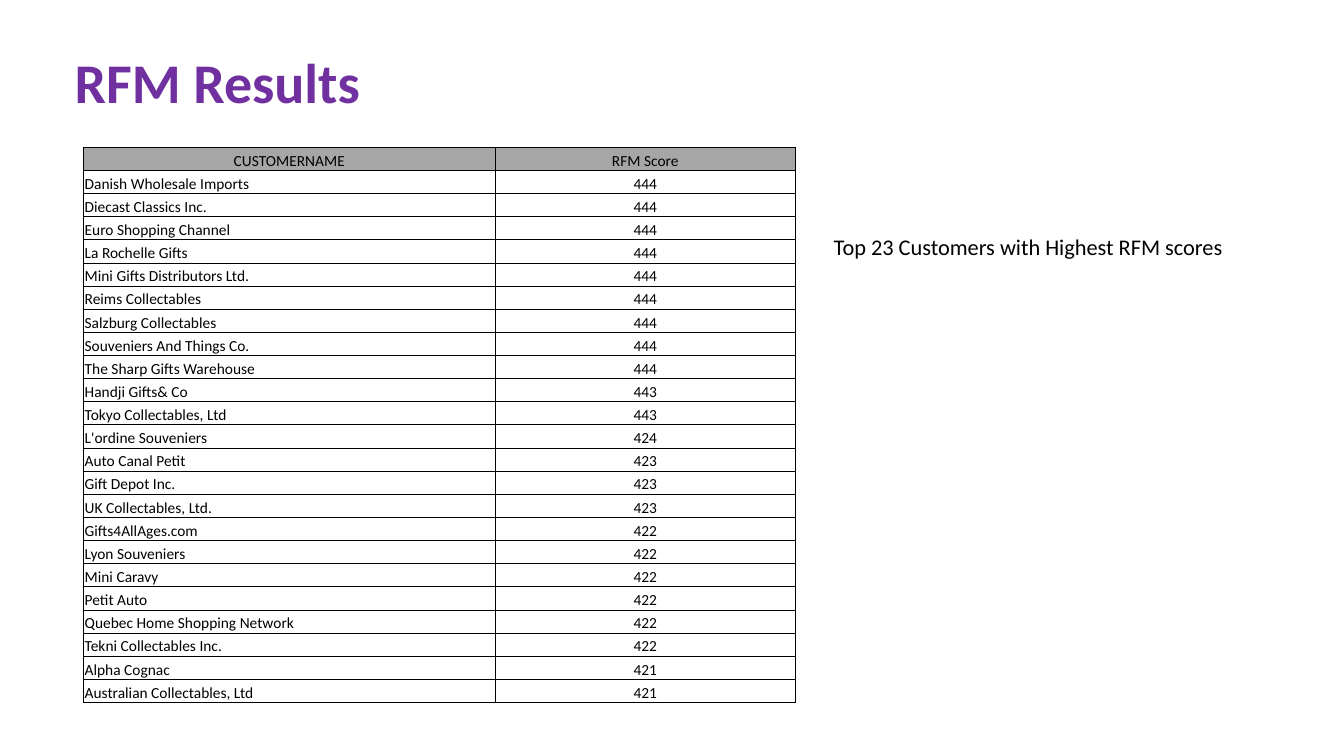
from typing import NamedTuple

from lxml.etree import SubElement
from pptx import Presentation
from pptx.dml.color import RGBColor
from pptx.enum.text import MSO_ANCHOR, MSO_AUTO_SIZE, PP_ALIGN
from pptx.oxml.ns import qn
from pptx.table import Table, _Cell
from pptx.text.text import TextFrame
from pptx.util import Inches, Pt

FONT = "Calibri"
BLACK = "000000"
PURPLE = "7030A0"
GREY = "A6A6A6"
THIN, THICK = 0.5, 1
TABLE_HEIGHT = 5.51
COLUMN_WIDTHS = (4.08, 2.98)


class Row(NamedTuple):
    name: str
    score: str


HEADER = Row("CUSTOMERNAME", "RFM Score")
CUSTOMERS = [
    Row("Danish Wholesale Imports", "444"),
    Row("Diecast Classics Inc.", "444"),
    Row("Euro Shopping Channel", "444"),
    Row("La Rochelle Gifts", "444"),
    Row("Mini Gifts Distributors Ltd.", "444"),
    Row("Reims Collectables", "444"),
    Row("Salzburg Collectables", "444"),
    Row("Souveniers And Things Co.", "444"),
    Row("The Sharp Gifts Warehouse", "444"),
    Row("Handji Gifts& Co", "443"),
    Row("Tokyo Collectables, Ltd", "443"),
    Row("L'ordine Souveniers", "424"),
    Row("Auto Canal Petit", "423"),
    Row("Gift Depot Inc.", "423"),
    Row("UK Collectables, Ltd.", "423"),
    Row("Gifts4AllAges.com", "422"),
    Row("Lyon Souveniers", "422"),
    Row("Mini Caravy", "422"),
    Row("Petit Auto", "422"),
    Row("Quebec Home Shopping Network", "422"),
    Row("Tekni Collectables Inc.", "422"),
    Row("Alpha Cognac", "421"),
    Row("Australian Collectables, Ltd", "421"),
]


def rgb(value: str) -> RGBColor:
    return RGBColor.from_string(value)


def write(tf: TextFrame, text: str, size: float, color: str = BLACK,
          bold: bool = False, align: PP_ALIGN = PP_ALIGN.LEFT) -> None:
    tf.text = text
    p = tf.paragraphs[0]
    p.alignment = align
    p.font.name = FONT
    p.font.size = Pt(size)
    p.font.bold = bold
    p.font.color.rgb = rgb(color)


def set_borders(cell: _Cell, widths: dict[str, float]) -> None:
    """Draw solid black borders; widths maps L, R, T, B (in that order) to points."""
    tc_pr = cell._tc.get_or_add_tcPr()
    for i, (side, width) in enumerate(widths.items()):
        ln = SubElement(tc_pr, qn(f"a:ln{side}"), w=str(Pt(width)))
        fill = SubElement(ln, qn("a:solidFill"))
        SubElement(fill, qn("a:srgbClr"), val=BLACK)
        tc_pr.insert(i, ln)


def fill_table(table: Table, rows: list[Row]) -> None:
    last_row, last_col = len(rows) - 1, len(COLUMN_WIDTHS) - 1
    for col, width in zip(table.columns, COLUMN_WIDTHS):
        col.width = Inches(width)
    for r, row in enumerate(rows):
        table.rows[r].height = Inches(TABLE_HEIGHT / len(rows))
        for c, text in enumerate(row):
            cell = table.cell(r, c)
            cell.margin_left = cell.margin_right = cell.margin_top = Inches(0.01)
            cell.margin_bottom = 0
            cell.vertical_anchor = MSO_ANCHOR.BOTTOM
            centred = r == 0 or c == last_col
            write(cell.text_frame, text, 11,
                  align=PP_ALIGN.CENTER if centred else PP_ALIGN.LEFT)
            if r == 0:
                cell.fill.solid()
                cell.fill.fore_color.rgb = rgb(GREY)
            else:
                cell.fill.background()
            set_borders(cell, {
                "L": THICK if c == 0 else THIN,
                "R": THICK if c == last_col else THIN,
                "T": THICK if r == 0 else THIN,
                "B": THICK if r == last_row else THIN,
            })


def main() -> None:
    prs = Presentation()
    prs.slide_width, prs.slide_height = Inches(13.33), Inches(7.5)
    s = prs.slides.add_slide(prs.slide_layouts[5])

    title = s.shapes.title
    title.left, title.top = Inches(0.64), Inches(0.42)
    title.width, title.height = Inches(11.17), Inches(0.77)
    tf = title.text_frame
    tf.word_wrap = True
    tf.auto_size = MSO_AUTO_SIZE.NONE
    tf.vertical_anchor = MSO_ANCHOR.TOP
    write(tf, "RFM Results", 40, PURPLE, bold=True)

    note = s.shapes.add_textbox(Inches(8.17), Inches(2.26), Inches(6.67), Inches(0.37))
    note.text_frame.word_wrap = True
    write(note.text_frame, "Top 23 Customers with Highest RFM scores", 16)

    rows = [HEADER, *CUSTOMERS]
    table = s.shapes.add_table(
        len(rows), len(COLUMN_WIDTHS), Inches(0.83), Inches(1.46),
        Inches(sum(COLUMN_WIDTHS)), Inches(TABLE_HEIGHT)).table
    table.first_row = table.horz_banding = False
    fill_table(table, rows)

    prs.save("out.pptx")


if __name__ == "__main__":
    main()
